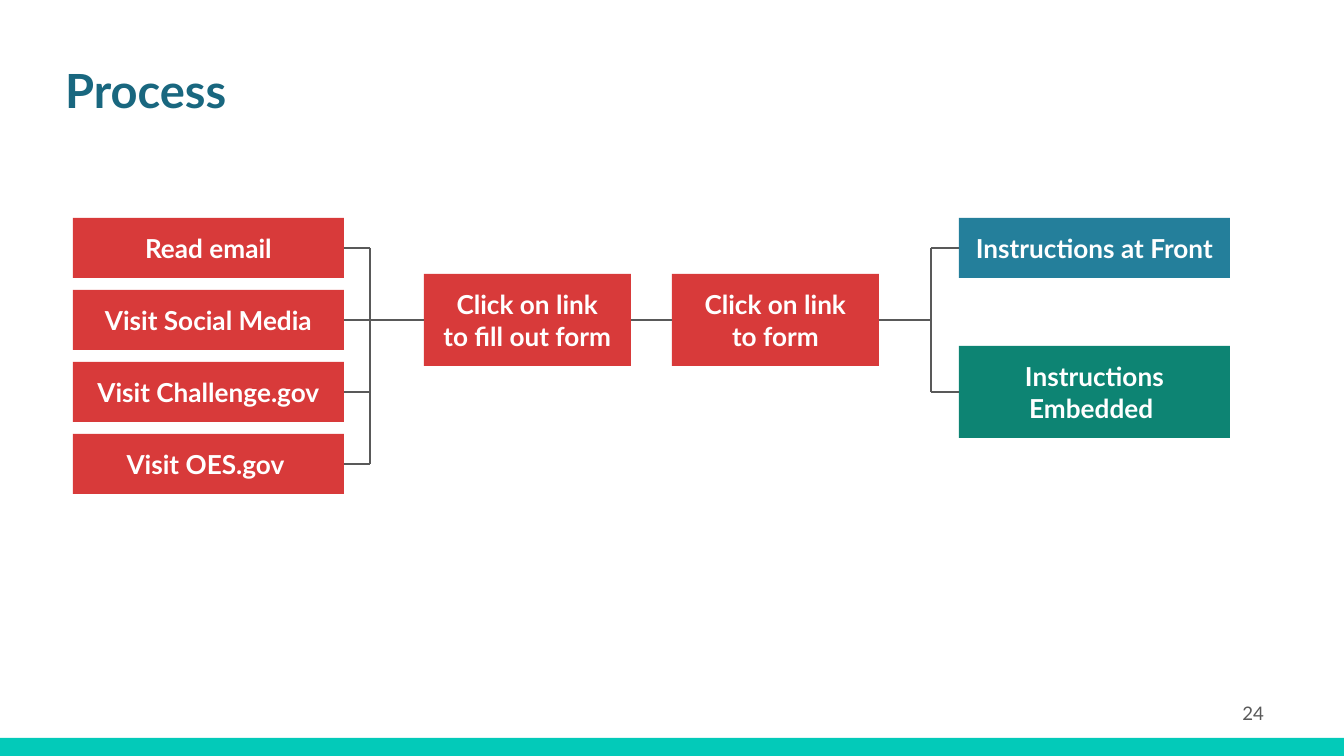
from lxml import etree
from pptx import Presentation
from pptx import util as u
from pptx.dml.color import RGBColor
from pptx.enum import shapes, text
from pptx.oxml import ns

EMU_PER_PX = 914400 / 134.4
RED, BLUE, GREEN = "D83A3A", "247F9B", "0D8473"
TEAL, NAVY, GRAY, WHITE = "03CAB9", "19677F", "595959", "FFFFFF"
LEFT, RIGHT = 1, 3


def px(*lengths):
    return [u.Emu(round(length * EMU_PER_PX)) for length in lengths]


def color(value):
    return RGBColor.from_string(value)


class ProcessSlide:
    margin = 13
    title_font = {"name": "Lato", "size": u.Pt(25.2), "bold": True}
    box_font = {"name": "Lato", "size": u.Pt(14), "bold": True}
    number_font = {"name": "Lato", "size": u.Pt(10), "bold": False}

    def __init__(self, slide):
        self.slide = slide

    def set_text(self, shape, words, font, fill, align, anchor):
        frame = shape.text_frame
        frame.text = words
        frame_format = {"word_wrap": True, "vertical_anchor": anchor,
                        "auto_size": text.MSO_AUTO_SIZE.NONE}
        for side in ("left", "right", "top", "bottom"):
            frame_format[f"margin_{side}"] = px(self.margin)[0]
        for name, value in frame_format.items():
            setattr(frame, name, value)
        paragraph = frame.paragraphs[0]
        paragraph.alignment = align
        for run in paragraph.runs:
            for name, value in font.items():
                setattr(run.font, name, value)
            run.font.color.rgb = color(fill)

    def title(self, words, *place):
        shape = self.slide.shapes.title
        shape.left, shape.top, shape.width, shape.height = px(*place)
        self.set_text(shape, words, self.title_font, NAVY,
                      text.PP_ALIGN.LEFT, text.MSO_ANCHOR.TOP)

    def rectangle(self, fill, *place):
        shape = self.slide.shapes.add_shape(shapes.MSO_SHAPE.RECTANGLE, *px(*place))
        shape.shadow.inherit = False
        shape.fill.solid()
        shape.fill.fore_color.rgb = color(fill)
        shape.line.fill.background()
        return shape

    def step(self, words, fill, *place):
        shape = self.rectangle(fill, *place)
        self.set_text(shape, words, self.box_font, WHITE,
                      text.PP_ALIGN.CENTER, text.MSO_ANCHOR.MIDDLE)
        return shape

    def number(self, words, *place):
        shape = self.slide.shapes.add_textbox(*px(*place))
        self.set_text(shape, words, self.number_font, GRAY,
                      text.PP_ALIGN.RIGHT, text.MSO_ANCHOR.BOTTOM)

    def line(self, start, end):
        """Each end is an (x, y) point or a (shape, side) pair to join."""
        points = [(0, 0) if hasattr(first, "shape_id") else (first, second)
                  for first, second in (start, end)]
        connector = self.slide.shapes.add_connector(
            shapes.MSO_CONNECTOR.STRAIGHT, *px(*points[0], *points[1]))
        joins = (connector.begin_connect, connector.end_connect)
        for join, target in zip(joins, (start, end)):
            if hasattr(target[0], "shape_id"):
                join(*target)
        connector.line.color.rgb = color(GRAY)
        connector.line.width = u.Pt(0.75)
        etree.SubElement(connector._element.spPr, ns.qn("a:effectLst"))


def main():
    presentation = Presentation()
    presentation.slide_width, presentation.slide_height = px(1344, 756)
    slide = presentation.slides.add_slide(presentation.slide_layouts[5])
    process = ProcessSlide(slide)

    process.rectangle(TEAL, 0, 738, 1344, 18)
    process.title("Process", 52, 48, 1224, 85)

    top, row_step, row_height, tall = 218, 72, 60, 92
    wide, narrow = 271, 207
    centers = [top + row_height // 2 + row * row_step for row in range(4)]

    sources = [
        process.step(words, RED, 73, center - row_height // 2, wide, row_height)
        for words, center in zip(
            ("Read email", "Visit Social Media", "Visit Challenge.gov", "Visit OES.gov "),
            centers)]
    fill_out, form = [
        process.step(words, RED, left, centers[1] - tall // 2, narrow, tall)
        for words, left in (("Click on link\vto fill out form", 424),
                            ("Click on link\vto form", 672))]
    front, embedded = [
        process.step(words, fill, 959, center - height // 2, wide, height)
        for words, fill, center, height in (
            ("Instructions at Front", BLUE, centers[0], row_height),
            ("Instructions Embedded ", GREEN, centers[2], tall))]

    source_trunk, outcome_trunk = 370, 931
    for row in (0, 2, 3):
        process.line((sources[row], RIGHT), (source_trunk, centers[row]))
    process.line((source_trunk, centers[0]), (source_trunk, centers[3]))
    process.line((sources[1], RIGHT), (fill_out, LEFT))
    process.line((fill_out, RIGHT), (form, LEFT))
    process.line((form, RIGHT), (outcome_trunk, centers[1]))
    process.line((outcome_trunk, centers[0]), (outcome_trunk, centers[2]))
    for outcome, center in ((front, centers[0]), (embedded, centers[2])):
        process.line((outcome_trunk, center), (outcome, LEFT))

    process.number("24", 1196, 685, 81, 52)
    presentation.save("out.pptx")


if __name__ == "__main__":
    main()
